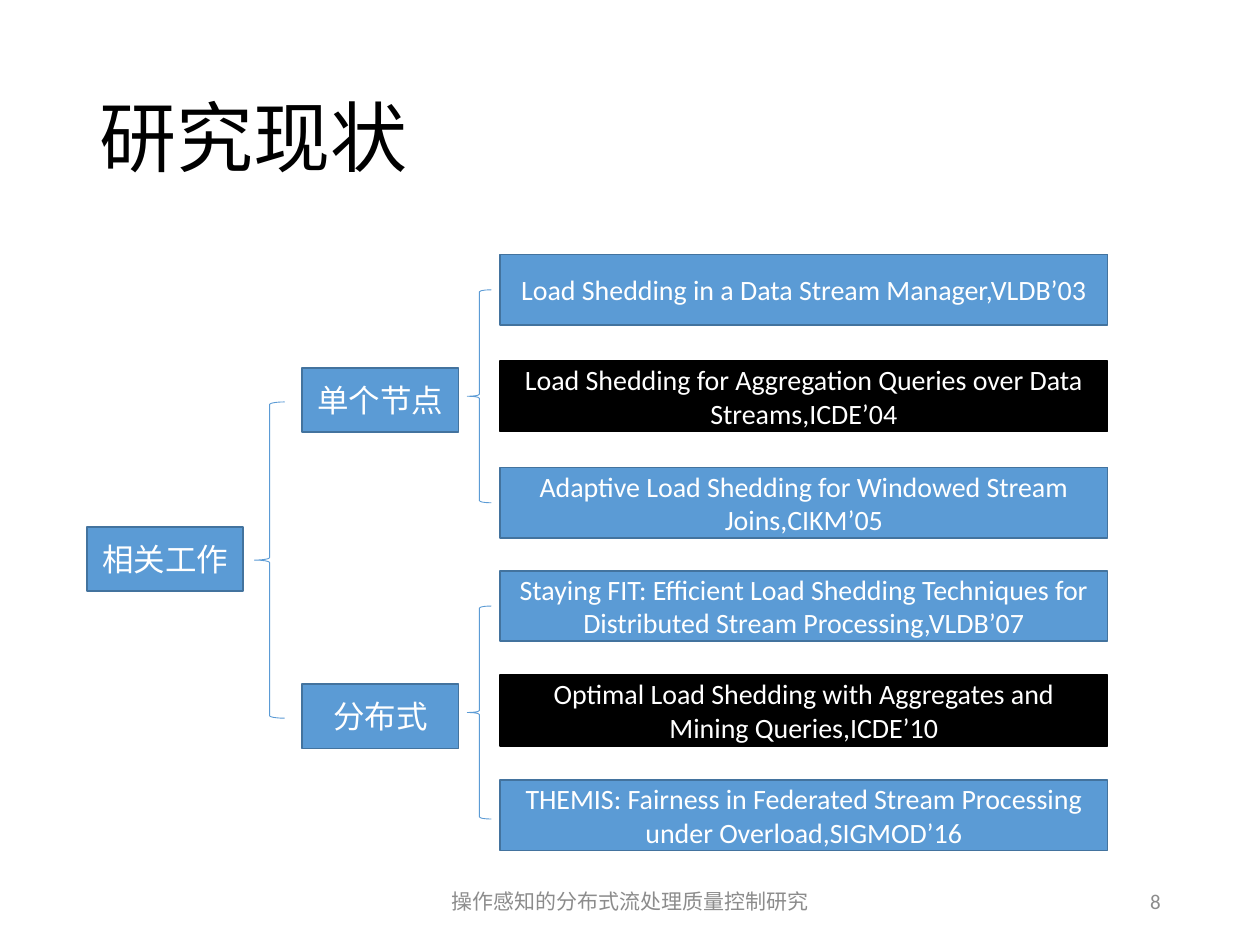
from pptx import Presentation
from pptx.dml.color import RGBColor
from pptx.enum.shapes import MSO_SHAPE as Shape
from pptx.enum.text import MSO_ANCHOR as Anchor, PP_ALIGN as Align
from pptx.util import Inches, Pt

BLUE, BLUE_EDGE, BLACK, WHITE, GRAY = "5B9BD5", "43739E", "000000", "FFFFFF", "8C8C8C"
TOPIC_WIDTH, TOPIC_HEIGHT = 1.24, 0.51
PAPER_WIDTH, PAPER_HEIGHT = 4.82, 0.56

BRANCHES = [
    (2.02, 1.69, "单个节点", [
        ("Load Shedding in a Data Stream Manager,VLDB’03", False),
        ("Load Shedding for Aggregation Queries over Data Streams,ICDE’04", True),
        ("Adaptive Load Shedding for Windowed Stream Joins,CIKM’05", False),
    ]),
    (4.53, 1.66, "分布式", [
        ("Staying FIT: Efficient Load Shedding Techniques for Distributed Stream Processing,VLDB’07", False),
        ("Optimal Load Shedding with Aggregates and Mining Queries,ICDE’10", True),
        ("THEMIS: Fairness in Federated Stream Processing under Overload,SIGMOD’16", False),
    ]),
]


def color(value):
    return RGBColor.from_string(value)


def inches(*lengths):
    return [Inches(length) for length in lengths]


def write(shape, text, size, text_color, align):
    frame = shape.text_frame
    frame.text = text
    frame.word_wrap = True
    frame.vertical_anchor = Anchor.MIDDLE
    paragraph = frame.paragraphs[0]
    paragraph.alignment = align
    font = paragraph.runs[0].font
    font.name = "Calibri"
    font.size = Pt(size)
    font.color.rgb = color(text_color)
    return paragraph


def add_title(slide, text, left, top, width, height):
    title = slide.shapes.title
    title.left, title.top, title.width, title.height = inches(left, top, width, height)
    write(title, text, 44, BLACK, Align.LEFT).line_spacing = 0.9


def add_footer(slide, text, left, top, width, height, align):
    footer = slide.shapes.add_textbox(*inches(left, top, width, height))
    write(footer, text, 12, GRAY, align)


def add_box(slide, text, left, top, width, height, size, fill=BLUE, edge=BLUE_EDGE):
    box = slide.shapes.add_shape(Shape.FLOWCHART_PROCESS, *inches(left, top, width, height))
    box.shadow.inherit = False
    box.fill.solid()
    box.fill.fore_color.rgb = color(fill)
    box.line.color.rgb = color(edge)
    box.line.width = Pt(1)
    write(box, text, size, WHITE, Align.CENTER)


def add_topic(slide, text, left, top):
    add_box(slide, text, left, top, TOPIC_WIDTH, TOPIC_HEIGHT, 18)


def add_brace(slide, left, top, width, height):
    brace = slide.shapes.add_shape(Shape.LEFT_BRACE, *inches(left, top, width, height))
    brace.shadow.inherit = False
    brace.fill.background()
    brace.line.color.rgb = color(BLUE)
    brace.line.width = Pt(0.5)


def add_branch(slide, left, top, span, topic, papers):
    add_topic(slide, topic, left, top + 0.9)
    add_brace(slide, left + 1.31, top + PAPER_HEIGHT / 2, 0.19, 1.69)
    pitch = span / (len(papers) - 1)
    for index, (paper, highlighted) in enumerate(papers):
        colors = (BLACK, BLACK) if highlighted else (BLUE, BLUE_EDGE)
        add_box(slide, paper, left + 1.57, top + index * pitch,
                PAPER_WIDTH, PAPER_HEIGHT, 16, *colors)


def add_related_work(slide, left, top):
    add_topic(slide, "相关工作", left, top + 2.16)
    add_brace(slide, left + 1.33, top + 1.17, 0.24, 2.51)
    first_top = BRANCHES[0][0]
    for branch_top, span, topic, papers in BRANCHES:
        add_branch(slide, left + 1.71, top + branch_top - first_top, span, topic, papers)


presentation = Presentation()
presentation.slide_width, presentation.slide_height = inches(10, 7.5)
slide = presentation.slides.add_slide(presentation.slide_layouts[5])
add_title(slide, "研究现状", 0.69, 0.4, 8.62, 1.45)
add_footer(slide, "操作感知的分布式流处理质量控制研究", 3.31, 6.95, 3.38, 0.4, Align.CENTER)
add_footer(slide, "8", 7.06, 6.95, 2.25, 0.4, Align.RIGHT)
add_related_work(slide, 0.69, 2.02)
presentation.save("out.pptx")
